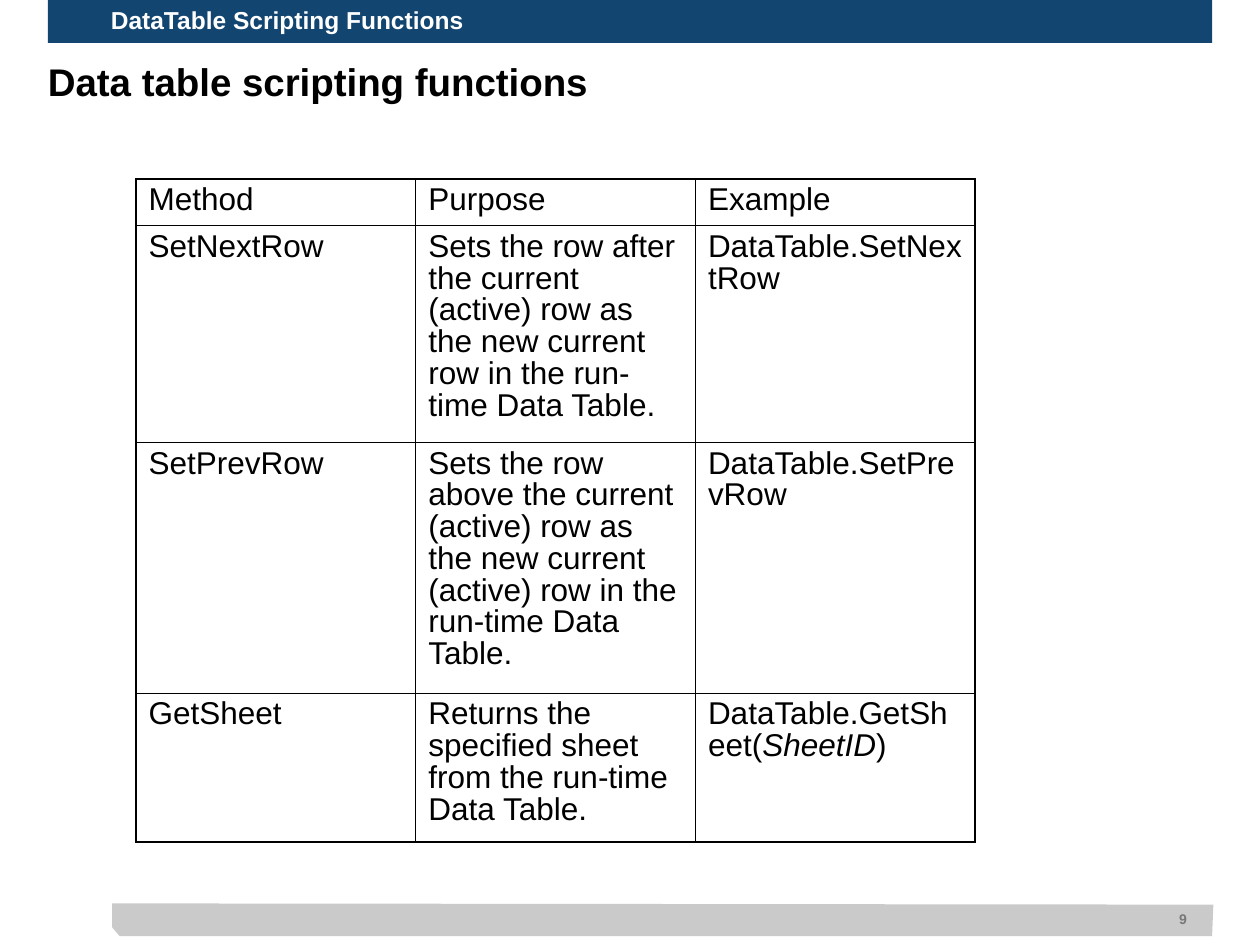
from lxml.etree import SubElement
from pptx import Presentation
from pptx.dml.color import RGBColor
from pptx.enum.shapes import MSO_SHAPE as Shape
from pptx.enum.text import MSO_ANCHOR as Anchor, PP_ALIGN as Align
from pptx.oxml.ns import qn
from pptx.util import Inches, Pt

NAVY = RGBColor(0x12, 0x45, 0x70)
GREY = RGBColor(0xCA, 0xCA, 0xCA)
DARK_GREY = RGBColor(0x77, 0x77, 0x77)
BLACK = RGBColor(0, 0, 0)
WHITE = RGBColor(255, 255, 255)

FONT = "Arial"
THIN, THICK = Pt(0.45), Pt(1.08)
COL_WIDTH = 2.22
ROW_HEIGHTS = [0.37, 1.72, 1.99, 1.18]
FOOTER = [(0.89, 7.17), (0.89, 7.36), (0.95, 7.43), (9.62, 7.43), (9.63, 7.18)]
METHODS = [
    [["Method"], ["Purpose"], ["Example"]],
    [["SetNextRow"],
     ["Sets the row after the current (active) row as the new current row "
      "in the run-time Data Table."],
     ["DataTable.SetNextRow"]],
    [["SetPrevRow"],
     ["Sets the row above the current (active) row as the new current "
      "(active) row in the run-time Data Table."],
     ["DataTable.SetPrevRow"]],
    [["GetSheet"],
     ["Returns the specified sheet from the run-time Data Table."],
     ["DataTable.GetSheet(", "SheetID", ")"]],
]


def write(tf, parts, size, color, before, bold=False, spacing=0.9):
    tf.word_wrap = True
    p = tf.paragraphs[0]
    p.line_spacing = spacing
    p.space_before = Pt(before)
    p.font.name, p.font.size, p.font.bold = FONT, Pt(size), bold
    p.font.color.rgb = color
    for i, part in enumerate(parts):
        r = p.add_run()
        r.text = part
        if i % 2:
            r.font.italic = True
    return p


def set_insets(tf, left=0, top=0, right=0, bottom=0):
    tf.margin_left, tf.margin_top = Inches(left), Inches(top)
    tf.margin_right, tf.margin_bottom = Inches(right), Inches(bottom)


def paint(sp, color):
    sp.fill.solid()
    sp.fill.fore_color.rgb = color
    sp.line.fill.background()
    sp.shadow.inherit = False


def add_footer(slide):
    points = [(Inches(x), Inches(y)) for x, y in FOOTER]
    builder = slide.shapes.build_freeform(*points[0])
    builder.add_line_segments(points[1:], close=True)
    paint(builder.convert_to_shape(), GREY)


def add_text(slide, box, text, size, color, before, right=0, **style):
    tf = slide.shapes.add_textbox(*map(Inches, box)).text_frame
    set_insets(tf, right=right)
    return tf, write(tf, [text], size, color, before, bold=True, **style)


def add_banner(slide, text):
    box = map(Inches, (0.38, 0, 9.24, 0.34))
    sp = slide.shapes.add_shape(Shape.RECTANGLE, *box)
    paint(sp, NAVY)
    tf = sp.text_frame
    set_insets(tf, 0.5, 0.05, 0.1, 0.05)
    tf.vertical_anchor = Anchor.MIDDLE
    p = write(tf, [text], 14, WHITE, 7, bold=True)
    p.alignment = Align.LEFT


def set_borders(cell, outer_sides):
    props = cell._tc.get_or_add_tcPr()
    for i, side in enumerate("LRTB"):
        width = THICK if side in outer_sides else THIN
        ln = SubElement(props, qn(f"a:ln{side}"), w=str(width))
        props.remove(ln)
        props.insert(i, ln)
        fill = SubElement(ln, qn("a:solidFill"))
        SubElement(fill, qn("a:srgbClr"), val=str(BLACK))


def add_method_table(slide):
    rows, cols = len(METHODS), len(METHODS[0])
    table = slide.shapes.add_table(
        rows, cols, Inches(1.08), Inches(1.42),
        Inches(COL_WIDTH * cols), Inches(sum(ROW_HEIGHTS))).table
    table.first_row = table.horz_banding = False
    for col in table.columns:
        col.width = Inches(COL_WIDTH)
    for r, entries in enumerate(METHODS):
        table.rows[r].height = Inches(ROW_HEIGHTS[r])
        for c, parts in enumerate(entries):
            cell = table.cell(r, c)
            cell.fill.background()
            write(cell.text_frame, parts, 18, BLACK, 9)
            edges = {"L": c == 0, "R": c == cols - 1,
                     "T": r == 0, "B": r == rows - 1}
            set_borders(cell, [side for side, outer in edges.items() if outer])


def main():
    prs = Presentation()
    prs.slide_width, prs.slide_height = Inches(10), Inches(7.5)
    slide = prs.slides.add_slide(prs.slide_layouts[6])
    add_footer(slide)
    tf, p = add_text(slide, (6.38, 7.23, 3.16, 0.13), "9", 8, DARK_GREY, 5,
                     right=0.12, spacing=1.0)
    tf.vertical_anchor = Anchor.MIDDLE
    p.alignment = Align.RIGHT
    add_text(slide, (0.38, 0.5, 9.25, 0.86), "Data table scripting functions",
             22, BLACK, 11)
    add_banner(slide, "DataTable Scripting Functions")
    add_method_table(slide)
    prs.save("out.pptx")


if __name__ == "__main__":
    main()
